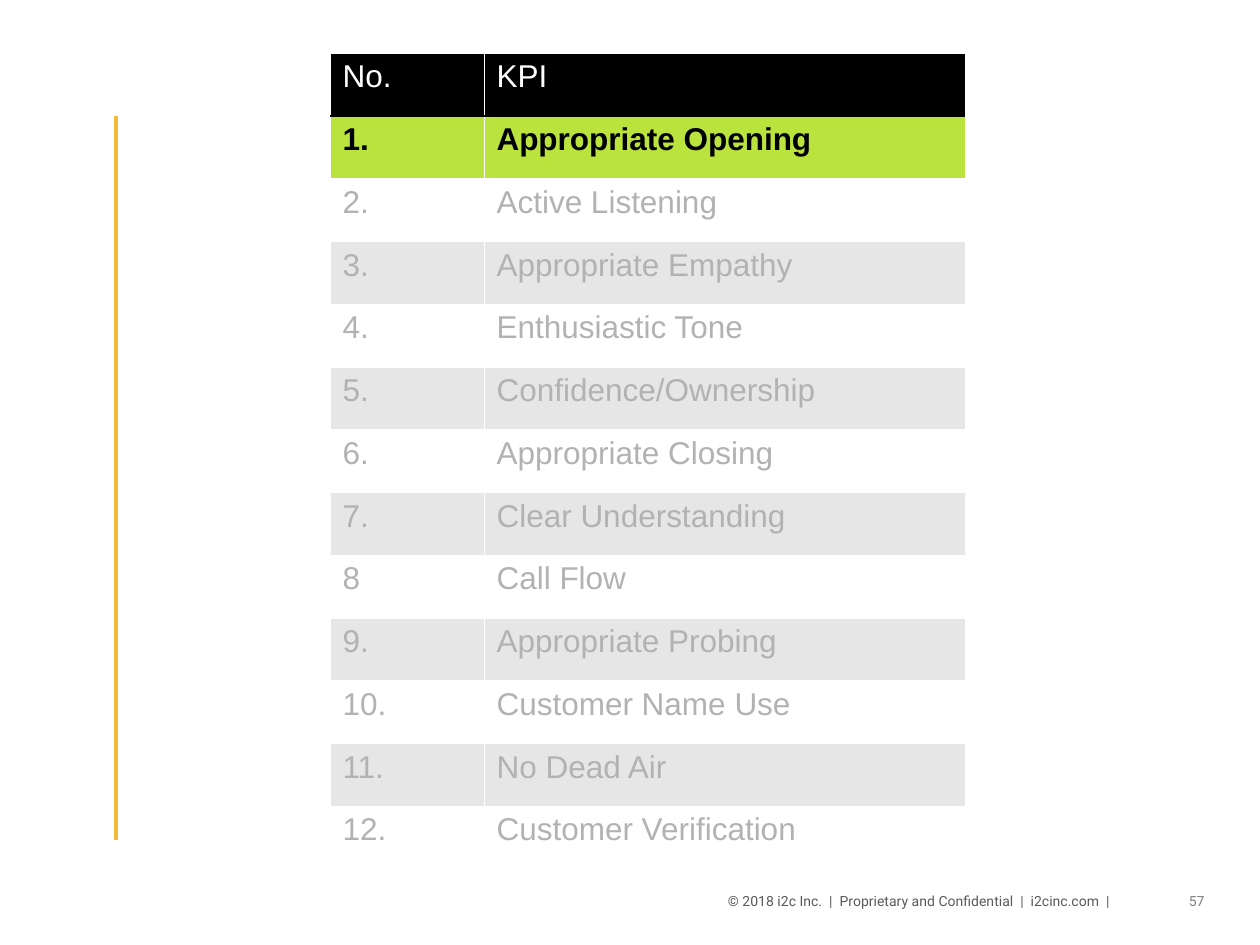
from dataclasses import dataclass

from lxml import etree
from pptx import Presentation
from pptx.dml.color import RGBColor
from pptx.enum.shapes import MSO_CONNECTOR
from pptx.enum.text import PP_ALIGN
from pptx.oxml.ns import qn
from pptx.util import Emu, Pt

STRAIGHT = MSO_CONNECTOR.STRAIGHT
RIGHT = PP_ALIGN.RIGHT
EMU_PER_PX = 914400 / 126
BLANK_LAYOUT = 6


@dataclass(frozen=True)
class Theme:
    white: str = "FFFFFF"
    black: str = "000000"
    highlight: str = "BBE33D"
    band: str = "E6E6E6"
    muted: str = "B2B2B2"
    rule: str = "F3B938"
    copyright: str = "595959"
    page: str = "808080"
    table_font: str = "Arial"
    footer_font: str = "Roboto"
    table_size: int = 18
    footer_size: int = 8
    hairline: float = 0.06
    header_line: float = 1.5
    rule_width: float = 2.25


THEME = Theme()


@dataclass(frozen=True)
class RowStyle:
    fill: str
    color: str
    bold: bool = False


@dataclass(frozen=True)
class Footer:
    text: str
    left: int
    width: int
    color: str


HEADER = RowStyle(THEME.black, THEME.white)
CURRENT = RowStyle(THEME.highlight, THEME.black, bold=True)
PLAIN = RowStyle(THEME.white, THEME.muted)
BANDED = RowStyle(THEME.band, THEME.muted)

KPI_ROWS = [
    ("No.", "KPI"),
    ("1.", "Appropriate Opening"),
    ("2.", "Active Listening"),
    ("3.", "Appropriate Empathy"),
    ("4.", "Enthusiastic Tone"),
    ("5.", "Confidence/Ownership"),
    ("6.", "Appropriate Closing"),
    ("7.", "Clear Understanding"),
    ("8", "Call Flow"),
    ("9.", "Appropriate Probing"),
    ("10.", "Customer Name Use"),
    ("11.", "No Dead Air"),
    ("12.", "Customer Verification"),
]
KPI_COLUMNS = (154, 481)
KPI_LEFT, KPI_TOP, KPI_HEIGHT = 330, 53, 816

FOOTERS = [
    Footer("57", 924, 293, THEME.page),
    Footer("© 2018 i2c Inc.  |  Proprietary and Confidential  |  i2cinc.com  |",
           672, 451, THEME.copyright),
]
FOOTER_TOP, FOOTER_HEIGHT = 886, 39


def px(length: float) -> Emu:
    return Emu(round(length * EMU_PER_PX))


def style_font(paragraph, name: str, size: int, color: str, bold: bool = False) -> None:
    font = paragraph.font
    font.name, font.size, font.bold = name, Pt(size), bold
    font.color.rgb = RGBColor.from_string(color)


def add_footer(slide, footer: Footer) -> None:
    frame = slide.shapes.add_textbox(
        px(footer.left), px(FOOTER_TOP), px(footer.width), px(FOOTER_HEIGHT)).text_frame
    frame.word_wrap = True
    line = frame.paragraphs[0]
    line.text = footer.text
    line.alignment = RIGHT
    style_font(line, THEME.footer_font, THEME.footer_size, footer.color)


def add_side_rule(slide, x: int, top: int, bottom: int) -> None:
    rule = slide.shapes.add_connector(STRAIGHT, px(x), px(top), px(x), px(bottom))
    rule.line.color.rgb = RGBColor.from_string(THEME.rule)
    rule.line.width = Pt(THEME.rule_width)
    etree.SubElement(rule._element.spPr, qn("a:effectLst"))


def set_border(cell, side: str, color: str, width: float) -> None:
    properties = cell._tc.get_or_add_tcPr()
    border = etree.SubElement(properties, qn(f"a:{side}"), w=str(Pt(width)))
    fill = etree.SubElement(border, qn("a:solidFill"))
    etree.SubElement(fill, qn("a:srgbClr"), val=color)


def row_style(number: int) -> RowStyle:
    if number == 0:
        return HEADER
    if number == 1:
        return CURRENT
    return BANDED if number % 2 else PLAIN


def fill_cell(cell, text: str, number: int) -> None:
    style = row_style(number)
    cell.text = text
    style_font(cell.text_frame.paragraphs[0], THEME.table_font, THEME.table_size,
               style.color, style.bold)
    # Borders come before the fill in the cell properties
    header_edge = {0: "lnB", 1: "lnT"}.get(number)
    for side in ("lnL", "lnR", "lnT", "lnB"):
        if side == header_edge:
            set_border(cell, side, THEME.black, THEME.header_line)
        else:
            set_border(cell, side, THEME.white, THEME.hairline)
    cell.fill.solid()
    cell.fill.fore_color.rgb = RGBColor.from_string(style.fill)


def add_kpi_table(slide) -> None:
    table = slide.shapes.add_table(
        len(KPI_ROWS), len(KPI_COLUMNS), px(KPI_LEFT), px(KPI_TOP),
        px(sum(KPI_COLUMNS)), px(KPI_HEIGHT)).table
    table.first_row = table.horz_banding = False
    for column, width in zip(table.columns, KPI_COLUMNS):
        column.width = px(width)
    for number, (row, texts) in enumerate(zip(table.rows, KPI_ROWS)):
        row.height = px(KPI_HEIGHT / len(KPI_ROWS))
        for cell, text in zip(row.cells, texts):
            fill_cell(cell, text, number)


def main() -> None:
    deck = Presentation()
    deck.slide_width, deck.slide_height = px(1260), px(945)
    slide = deck.slides.add_slide(deck.slide_layouts[BLANK_LAYOUT])

    # Page furniture
    for footer in FOOTERS:
        add_footer(slide, footer)
    add_side_rule(slide, x=116, top=116, bottom=840)

    # KPI list with the current item highlighted
    add_kpi_table(slide)

    deck.save("out.pptx")


if __name__ == "__main__":
    main()
